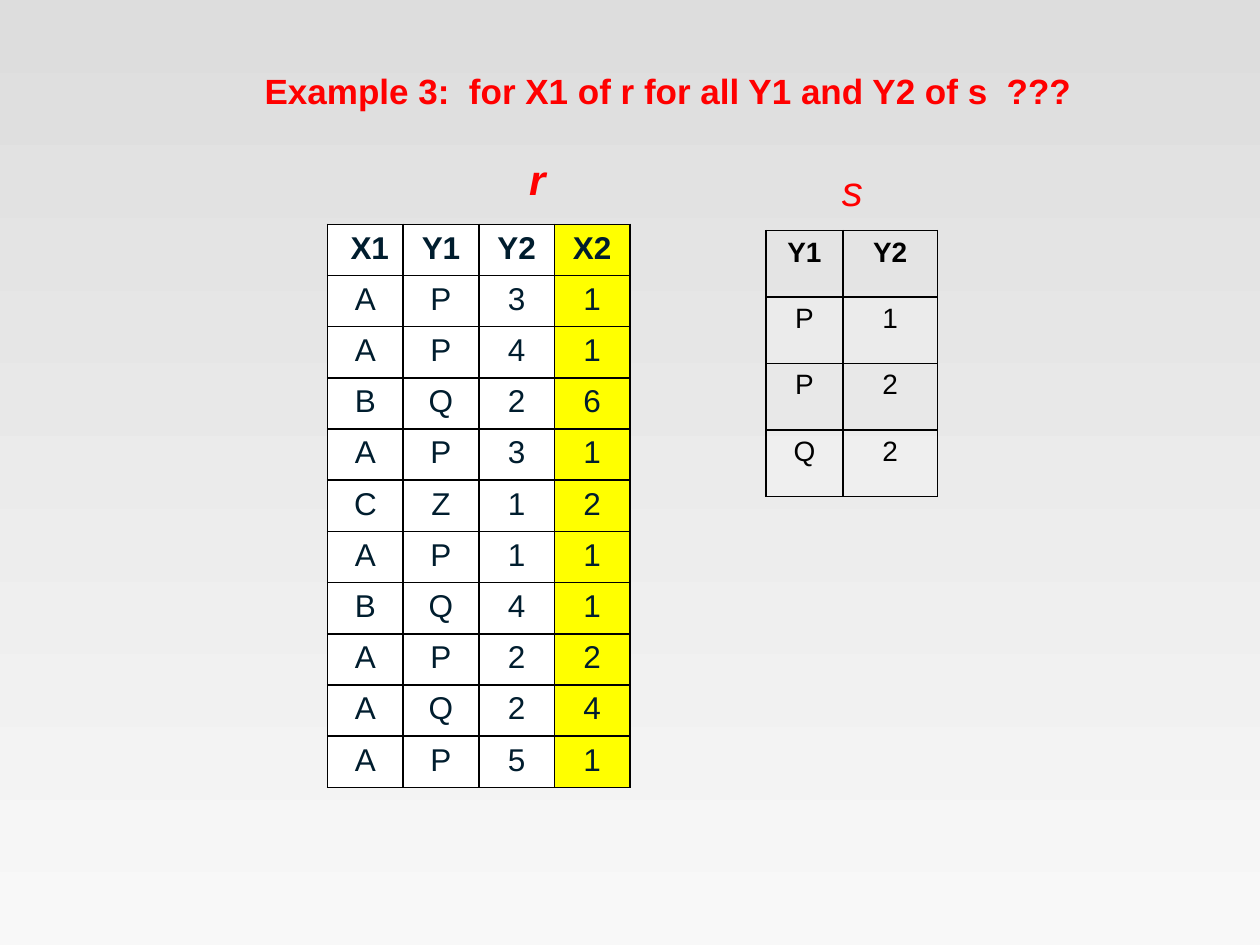
from pptx import Presentation
from pptx.dml.color import RGBColor
from pptx.enum.text import MSO_ANCHOR as Anchor, PP_ALIGN as Align
from pptx.oxml import parse_xml
from pptx.oxml.ns import nsdecls, qn
from pptx.util import Inches, Pt

RED = RGBColor(0xFF, 0x00, 0x00)
BLACK = RGBColor(0x00, 0x00, 0x00)
NAVY = RGBColor(0x00, 0x1D, 0x2E)
WHITE = RGBColor(0xFF, 0xFF, 0xFF)
YELLOW = RGBColor(0xFF, 0xFF, 0x00)
GREY = RGBColor(0xDD, 0xDD, 0xDD)
PALE = RGBColor(0xF8, 0xF8, 0xF8)

RELATION_R = [
    (" X1", "Y1", "Y2", "X2"), *("AP31", "AP41", "BQ26", "AP31", "CZ12",
                                 "AP11", "BQ41", "AP22", "AQ24", "AP51"),
]
RELATION_S = [("Y1", "Y2"), *("P1", "P2", "Q2")]


class RelationSlide:
    """Holds the current slide and its style, and adds each kind of element."""

    font_name = "Arial"

    def __init__(self, deck):
        self.slide = deck.slides.add_slide(deck.slide_layouts[5])
        backdrop = self.slide.background.fill
        backdrop.gradient()
        backdrop.gradient_angle = 270
        for stop, color in zip(backdrop.gradient_stops, (GREY, PALE)):
            stop.color.rgb = color

    def format(self, paragraph, size, color, align, bold=False, italic=False):
        paragraph.alignment = align
        font = paragraph.font
        font.name, font.size = self.font_name, Pt(size)
        font.bold, font.italic = bold, italic
        font.color.rgb = color

    def place(self, shape, left, top, width, height):
        shape.left, shape.top = Inches(left), Inches(top)
        shape.width, shape.height = Inches(width), Inches(height)

    def title(self, text, *box):
        heading = self.slide.shapes.title
        self.place(heading, *box)
        frame = heading.text_frame
        frame.text = text
        frame.word_wrap = False
        frame.vertical_anchor = Anchor.TOP
        self.format(frame.paragraphs[0], 20, RED, Align.LEFT, bold=True)

    def label(self, text, *box, bold=False):
        caption = self.slide.shapes.add_textbox(0, 0, 0, 0)
        self.place(caption, *box)
        frame = caption.text_frame
        frame.text = text
        frame.word_wrap = False
        frame.vertical_anchor = Anchor.MIDDLE
        self.format(frame.paragraphs[0], 24, RED, Align.CENTER, bold, italic=True)

    def border(self, cell):
        properties = cell._tc.get_or_add_tcPr()
        for side in "LRTB":
            properties.append(parse_xml(
                f'<a:ln{side} {nsdecls("a")} w="{Pt(1)}"><a:solidFill>'
                f'<a:srgbClr val="{BLACK}"/></a:solidFill></a:ln{side}>'))

    def fill(self, cell, color, opacity):
        if color is None:
            cell.fill.background()
            return
        cell.fill.solid()
        cell.fill.fore_color.rgb = color
        if opacity < 100:
            tint = cell._tc.tcPr.find(qn("a:solidFill"))[0]
            tint.append(parse_xml(
                f'<a:alpha {nsdecls("a")} val="{opacity * 1000}"/>'))

    def table(self, rows, left, top, widths, height, size, color, cell_fill,
              opacity=100):
        grid = self.slide.shapes.add_table(
            len(rows), len(widths), Inches(left), Inches(top),
            Inches(sum(widths)), Inches(height)).table
        for column, width in zip(grid.columns, widths):
            column.width = Inches(width)
        for r, values in enumerate(rows):
            for c, value in enumerate(values):
                cell = grid.cell(r, c)
                cell.text = value
                self.border(cell)
                self.fill(cell, cell_fill(r, c), opacity)
                self.format(cell.text_frame.paragraphs[0], size, color,
                            Align.CENTER, bold=r == 0)


def main():
    deck = Presentation()
    deck.slide_width, deck.slide_height = Inches(10), Inches(7.5)
    page = RelationSlide(deck)
    page.table(RELATION_S, 6.08, 1.83, (0.61, 0.75), 2.11, 16, BLACK,
               lambda r, c: WHITE if r % 2 else None, opacity=20)
    page.table(RELATION_R, 2.6, 1.78, (0.6,) * 4, 4.47, 18, NAVY,
               lambda r, c: YELLOW if c == 3 else WHITE)
    page.label("r", 4.1, 1.17, 0.33, 0.5, bold=True)
    page.label("s", 6.58, 1.25, 0.37, 0.51)
    page.title("Example 3:  for X1 of r for all Y1 and Y2 of s  ???",
               2, 0.5, 6.65, 0.44)
    deck.save("out.pptx")


if __name__ == "__main__":
    main()
